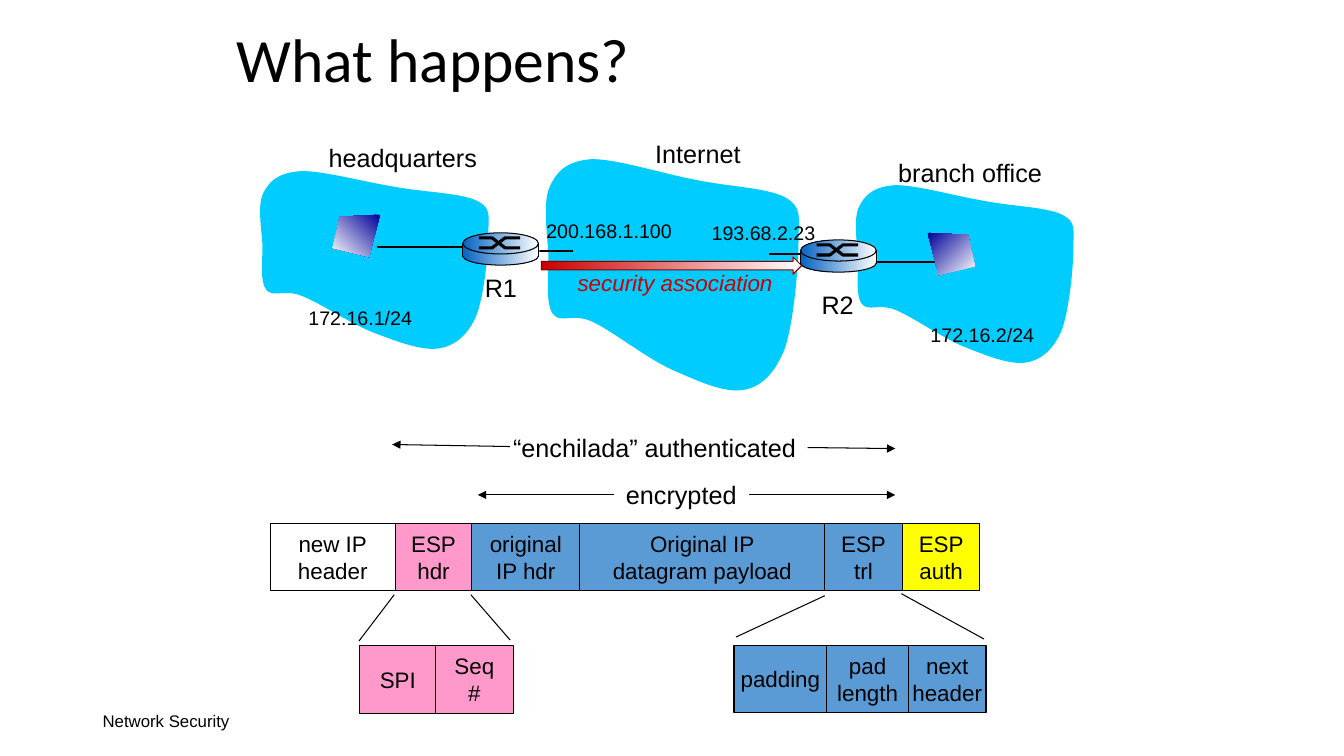
from itertools import accumulate
from typing import NamedTuple

from lxml.etree import SubElement
from pptx import Presentation
from pptx.dml.color import RGBColor
from pptx.enum.dml import MSO_LINE
from pptx.enum.shapes import MSO_CONNECTOR, MSO_SHAPE
from pptx.enum.text import MSO_ANCHOR, MSO_AUTO_SIZE, PP_ALIGN
from pptx.oxml.ns import qn
from pptx.util import Inches, Pt

HUES = {
    "black": "000000", "white": "FFFFFF", "pink": "FF99CC", "blue": "5B9BD5",
    "yellow": "FFFF00", "cloud": "00CCFF", "navy": "000099", "router": "0563C1",
    "red": "CC0000", "maroon": "800000",
}


class Label(NamedTuple):
    text: str
    x: float
    y: float
    w: float
    h: float = 0.4
    size: float = 18
    hue: str = "black"
    slant: bool = False
    wrap: bool = False


class Field(NamedTuple):
    text: str
    w: float
    hue: str = ""


class Wire(NamedTuple):
    x1: float
    y1: float
    x2: float
    y2: float
    width: float = 0.75
    arrow: bool = False


class Cloud(NamedTuple):
    x: float
    y: float
    w: float
    h: float


def color(name: str) -> RGBColor:
    return RGBColor.from_string(HUES[name])


def paint(shape, hue: str = "", fade: bool = False, angle: float = 0,
          edge: str = "", width: float = 0.75) -> None:
    """Set fill and outline; angle runs clockwise."""
    shape.shadow.inherit = False
    if fade:
        shape.fill.gradient()
        shape.fill.gradient_angle = -angle % 360
        for stop, name in zip(shape.fill.gradient_stops, (hue, "white")):
            stop.color.rgb = color(name)
    elif hue:
        shape.fill.solid()
        shape.fill.fore_color.rgb = color(hue)
    else:
        shape.fill.background()
    if edge:
        shape.line.color.rgb = color(edge)
        shape.line.width = Pt(width)
    else:
        shape.line.fill.background()


def style(frame, size: float, hue: str = "black", font: str = "Arial",
          slant: bool = False, align=PP_ALIGN.LEFT) -> None:
    for para in frame.paragraphs:
        para.alignment = align
        for run in para.runs:
            run.font.name = font
            run.font.size = Pt(size)
            run.font.italic = slant
            run.font.color.rgb = color(hue)


def add_box(x: float, y: float, w: float, h: float, text: str):
    box = slide.shapes.add_textbox(Inches(x), Inches(y), Inches(w), Inches(h))
    box.text_frame.text = text
    box.text_frame.word_wrap = True
    return box.text_frame


def add_label(label: Label) -> None:
    frame = add_box(label.x, label.y, label.w, label.h, label.text)
    frame.word_wrap = label.wrap
    frame.auto_size = MSO_AUTO_SIZE.SHAPE_TO_FIT_TEXT
    style(frame, label.size, label.hue, slant=label.slant)


def add_form(kind, x: float, y: float, w: float, h: float):
    return slide.shapes.add_shape(kind, Inches(x), Inches(y), Inches(w), Inches(h))


def add_fields(x: float, y: float, h: float, fields: list[Field]) -> None:
    lefts = accumulate((f.w for f in fields), initial=x)
    for left, field in zip(lefts, fields):
        cell = add_form(MSO_SHAPE.RECTANGLE, left, y, field.w, h)
        paint(cell, field.hue, edge="black")
        frame = cell.text_frame
        frame.text = field.text
        frame.word_wrap = False
        frame.vertical_anchor = MSO_ANCHOR.MIDDLE
        style(frame, 16, align=PP_ALIGN.CENTER)


def add_wire(wire: Wire) -> None:
    ends = [Inches(v) for v in wire[:4]]
    line = slide.shapes.add_connector(MSO_CONNECTOR.STRAIGHT, *ends)
    line.line.color.rgb = color("black")
    line.line.width = Pt(wire.width)
    line.line.dash_style = MSO_LINE.SOLID
    props = line._element.spPr
    if wire.arrow:
        SubElement(props.find(qn("a:ln")), qn("a:tailEnd"), type="triangle")
    SubElement(props, qn("a:effectLst"))


def add_outline(points: list[tuple], closed: bool = True):
    spots = [(Inches(x), Inches(y)) for x, y in points]
    pen = slide.shapes.build_freeform(*spots[0], scale=1.0)
    pen.add_line_segments(spots[1:], close=closed)
    return pen.convert_to_shape()


# Start point, then three points for each curve, within a 2.58 x 2.33 frame
BLOB = [
    (.48, .01), (.24, .03), (.14, .13), (.07, .29), (0, .45), (.05, .76), (.06, .97),
    (.06, 1.18), (.03, 1.43), (.10, 1.54), (.18, 1.65), (.29, 1.53), (.49, 1.62),
    (.69, 1.71), (1.04, 1.99), (1.29, 2.10), (1.54, 2.21), (1.80, 2.33), (1.99, 2.30),
    (2.17, 2.27), (2.30, 2.14), (2.40, 1.90), (2.49, 1.65), (2.54, 1.08), (2.54, .83),
    (2.54, .58), (2.58, .49), (2.41, .39), (2.23, .29), (1.81, .28), (1.50, .21),
    (1.18, .15), (.71, 0), (.48, .01),
]


def add_cloud(cloud: Cloud) -> None:
    shape = add_outline([(cloud.x + x / 2.58 * cloud.w, cloud.y + y / 2.33 * cloud.h)
                         for x, y in BLOB])
    paint(shape, "cloud")
    # Turn every three straight steps into one cubic curve
    steps = list(shape._element.iter(qn("a:lnTo")))
    for i in range(0, len(BLOB) - 1, 3):
        curve = steps[i]
        curve.tag = qn("a:cubicBezTo")
        for step in steps[i + 1:i + 3]:
            curve.append(step[0])
            step.getparent().remove(step)


def add_router(x: float, y: float) -> None:
    oval, rect = MSO_SHAPE.OVAL, MSO_SHAPE.RECTANGLE
    for kind, drop, w, h, edge in ((oval, .14, .75, .18, "black"),
                                   (rect, .12, .76, .11, ""),
                                   (oval, 0, .75, .21, "black")):
        paint(add_form(kind, x, y + drop, w, h), "router", fade=True, edge=edge)
    for start, end in ((.15, .05), (.05, .15)):
        bend = [(.16, start), (.29, start), (.42, end), (.57, end)]
        mark = add_outline([(x + a, y + b) for a, b in bend], closed=False)
        paint(mark, edge="black", width=2.25)
    for side in (x, x + .75):
        add_wire(Wire(side, y + .1, side, y + .24))


deck = Presentation()
deck.slide_width, deck.slide_height = Inches(13.33), Inches(7.5)
slide = deck.slides.add_slide(deck.slide_layouts[6])

# Footer and title
for text, spot, size, font in (
        ("Network Security", (.92, 6.95, 3, .4), 12, "Arial"),
        ("What happens?", (2.25, 0, 8.5, 1.25), 44, "Calibri")):
    frame = add_box(*spot, text)
    frame.vertical_anchor = MSO_ANCHOR.MIDDLE
    style(frame, size, font=font)
frame.paragraphs[0].line_spacing = 0.9

# Packet, with its ESP trailer and header opened up below
add_fields(2.68, 5.19, .67, [
    Field("new IP\vheader", 1.24), Field("ESP\nhdr", .76, "pink"),
    Field("original\vIP hdr", 1.07, "blue"),
    Field("Original IP\ndatagram payload", 2.43, "blue"),
    Field("ESP\ntrl", .77, "blue"), Field("ESP\nauth", .77, "yellow")])
add_fields(7.28, 6.4, .67, [
    Field("padding", .92, "blue"), Field("pad\vlength", .81, "blue"),
    Field("next\vheader", .77, "blue")])
add_fields(3.57, 6.4, .68, [Field("SPI", .75, "pink"), Field("Seq\n#", .77, "pink")])

# Span arrows and fan-out lines
for ends in ((7.43, 4.91, 8.88, 4.91), (6.09, 4.91, 4.74, 4.91),
             (8.01, 4.44, 8.88, 4.45), (5.06, 4.43, 3.89, 4.41)):
    add_wire(Wire(*ends, arrow=True))
for ends in ((7.3, 6.32, 8.18, 5.91), (9.76, 6.34, 8.94, 5.89),
             (3.56, 6.36, 3.91, 5.9), (4.67, 5.9, 5.06, 6.35)):
    add_wire(Wire(*ends))

# Networks and their links
for cloud in (Cloud(8.46, 1.83, 2.22, 1.79), Cloud(2.55, 1.69, 2.33, 1.79),
              Cloud(5.38, 1.57, 2.58, 2.33)):
    add_cloud(cloud)
for ends in ((3.74, 2.45, 4.62, 2.45), (8.64, 2.6, 9.39, 2.6),
             (5.26, 2.49, 5.68, 2.49), (7.95, 2.52, 7.63, 2.52)):
    add_wire(Wire(*ends, width=2))

# Labels
for label in (
        Label("encrypted", 6.11, 4.71, 1.3),
        Label("“enchilada” authenticated", 4.99, 4.24, 3.12),
        Label("193.68.2.23", 6.96, 2.14, 1.26, .33, 14),
        Label("200.168.1.100", 5.32, 2.12, 1.46, .34, 14),
        Label("172.16.1/24", 2.96, 2.99, 1.25, .33, 14),
        Label("172.16.2/24", 9.13, 3.15, 1.28, .33, 14),
        Label("security association", 5.63, 2.62, 2.49, .37, 16, "red", True, True),
        Label("Internet", 6.4, 1.32, 1.05),
        Label("headquarters", 3.16, 1.36, 1.72),
        Label("branch office", 8.81, 1.51, 1.67),
        Label("R1", 4.71, 2.65, .52),
        Label("R2", 8.05, 2.82, .52)):
    add_label(label)

# Hosts, the second one mirrored
HOST = [(0, 0), (.4, .02), (.47, .33), (.11, .42)]
for x, y, sign, angle in ((3.77, 2.13, -1, 135), (9.2, 2.31, 1, 45)):
    host = add_outline([(x + sign * a, y + b) for a, b in HOST])
    paint(host, "navy", fade=True, angle=angle)

# Routers and the secure tunnel
add_router(7.94, 2.38)
add_router(4.59, 2.31)
tunnel = add_form(MSO_SHAPE.RIGHT_ARROW, 5.37, 2.55, 2.58, .17)
paint(tunnel, "red", fade=True, edge="maroon")

deck.save("out.pptx")
